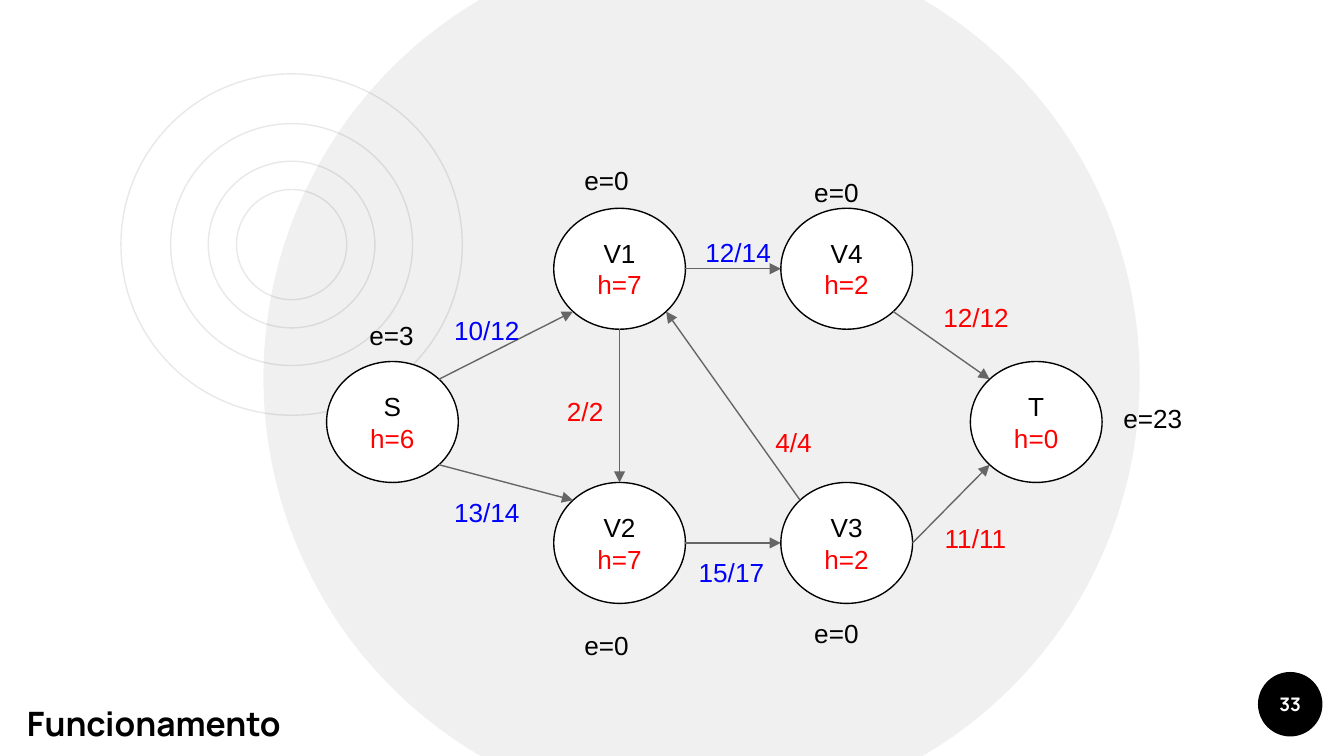
import math
from typing import NamedTuple

import pptx
import pptx.dml.color
import pptx.enum.shapes
import pptx.enum.text
import pptx.oxml
import pptx.oxml.ns
import pptx.util
from pptx.util import Inches

BLACK, WHITE, GRAY, RING = "000000", "FFFFFF", "666666", "E8E8E8"
RED, BLUE = "FF0000", "0000FF"
NODE_WIDTH, NODE_HEIGHT = 0.98, 0.9
MIDDLE = pptx.enum.text.MSO_ANCHOR.MIDDLE
CENTER = pptx.enum.text.PP_ALIGN.CENTER
LEFT = pptx.enum.text.PP_ALIGN.LEFT

# Angles, in degrees clockwise from the right, where edges meet a node
PORTS = {"right": 0, "bottom right": 45, "bottom": 90, "bottom left": 135,
         "left": 180, "top left": 225, "top": 270, "top right": 315}


class Node(NamedTuple):
    name: str
    height: int
    x: float
    y: float


class Edge(NamedTuple):
    start: str
    start_port: str
    end: str
    end_port: str


class Label(NamedTuple):
    text: str
    x: float
    y: float
    color: str = BLACK


NODES = {node.name: node for node in (
    Node("S", 6, 2.92, 3.14),
    Node("V3", 2, 6.3, 4.04), Node("V4", 2, 6.3, 2),
    Node("V2", 7, 4.61, 4.04), Node("V1", 7, 4.61, 2),
    Node("T", 0, 7.71, 3.14),
)}
EDGES = (
    Edge("S", "top right", "V1", "bottom left"),
    Edge("S", "bottom right", "V2", "top left"),
    Edge("V2", "right", "V3", "left"),
    Edge("V3", "top left", "V1", "bottom right"),
    Edge("V1", "right", "V4", "left"),
    Edge("V4", "bottom right", "T", "top left"),
    Edge("V3", "right", "T", "bottom left"),
    Edge("V1", "bottom", "V2", "top"),
)
LABELS = (
    Label("10/12", 3.28, 2.24, BLUE), Label("13/14", 3.28, 3.59, BLUE),
    Label("15/17", 5.1, 4.04, BLUE), Label("2/2", 4.12, 2.84, RED),
    Label("4/4", 5.67, 3.07, RED), Label("11/11", 6.93, 3.79, RED),
    Label("12/12", 6.92, 2.14, RED), Label("e=3", 2.65, 2.28),
    Label("e=0", 4.25, 1.12), Label("e=0", 4.25, 4.58),
    Label("e=0", 5.96, 4.49), Label("e=0", 5.96, 1.21),
    Label("e=23", 8.26, 2.89), Label("12/14", 5.15, 1.66, BLUE),
)


def rgb(color: str) -> pptx.dml.color.RGBColor:
    return pptx.dml.color.RGBColor.from_string(color)


def set_frame(frame, margin: float, anchor) -> None:
    values = {f"margin_{side}": Inches(margin)
              for side in ("left", "top", "right", "bottom")}
    values.update(word_wrap=True, vertical_anchor=anchor)
    for name, value in values.items():
        setattr(frame, name, value)


def write(paragraph, text: str, color: str, size: float = 14,
          font: str = "Arial", bold: bool = False, align=CENTER) -> None:
    paragraph.alignment = align
    run = paragraph.add_run()
    run.text = text
    values = {"size": pptx.util.Pt(size), "name": font, "bold": bold}
    for name, value in values.items():
        setattr(run.font, name, value)
    run.font.color.rgb = rgb(color)


def add_ellipse(slide, x: float, y: float, width: float, height: float,
                fill: str = "", line: str = ""):
    """Draw an ellipse centred on x, y."""
    shape = slide.shapes.add_shape(
        pptx.enum.shapes.MSO_SHAPE.OVAL, Inches(x - width / 2),
        Inches(y - height / 2), Inches(width), Inches(height))
    shape.shadow.inherit = False
    if fill:
        shape.fill.solid()
        shape.fill.fore_color.rgb = rgb(fill)
    else:
        shape.fill.background()
    if line:
        shape.line.color.rgb = rgb(line)
        shape.line.width = pptx.util.Pt(0.75)
    else:
        shape.line.fill.background()
    return shape


def add_background(slide) -> None:
    for diameter in (2.54, 1.24, 1.8, 0.82):
        add_ellipse(slide, 2.17, 1.82, diameter, diameter, line=RING)
    disc = add_ellipse(slide, 5.22, 2.81, 6.52, 6.52, fill=BLACK)
    color = disc.fill._xPr.find(".//" + pptx.oxml.ns.qn("a:srgbClr"))
    color.append(pptx.oxml.parse_xml(
        f'<a:alpha {pptx.oxml.ns.nsdecls("a")} val="6000"/>'))


def add_page_number(slide, number: str) -> None:
    badge = add_ellipse(slide, 9.6, 5.24, 0.48, 0.48, fill=BLACK)
    set_frame(badge.text_frame, 0, MIDDLE)
    write(badge.text_frame.paragraphs[0], number, WHITE, 10, "Manrope", True)


def add_node(slide, node: Node) -> None:
    shape = add_ellipse(slide, node.x, node.y, NODE_WIDTH, NODE_HEIGHT, WHITE, BLACK)
    frame = shape.text_frame
    set_frame(frame, 0.1, MIDDLE)
    write(frame.paragraphs[0], node.name, BLACK)
    write(frame.add_paragraph(), f"h={node.height}", RED)


def port_position(name: str, port: str) -> tuple:
    node, angle = NODES[name], math.radians(PORTS[port])
    return (Inches(node.x + NODE_WIDTH / 2 * math.cos(angle)),
            Inches(node.y + NODE_HEIGHT / 2 * math.sin(angle)))


def add_edge(slide, edge: Edge) -> None:
    connector = slide.shapes.add_connector(
        pptx.enum.shapes.MSO_CONNECTOR.STRAIGHT,
        *port_position(edge.start, edge.start_port),
        *port_position(edge.end, edge.end_port))
    connector.line.color.rgb = rgb(GRAY)
    connector.line.width = pptx.util.Pt(0.75)
    namespace = pptx.oxml.ns.nsdecls("a")
    connector.line._get_or_add_ln().append(
        pptx.oxml.parse_xml(f'<a:tailEnd {namespace} type="triangle"/>'))
    connector._element.spPr.append(
        pptx.oxml.parse_xml(f"<a:effectLst {namespace}/>"))


def add_label(slide, label: Label) -> None:
    box = slide.shapes.add_textbox(
        Inches(label.x), Inches(label.y), Inches(0.78), Inches(0.35))
    set_frame(box.text_frame, 0.1, pptx.enum.text.MSO_ANCHOR.TOP)
    write(box.text_frame.paragraphs[0], label.text, label.color, align=LEFT)


def set_title(slide, text: str) -> None:
    title = slide.shapes.title
    position = {"left": 0, "top": 5.13, "width": 2.29, "height": 0.5}
    for name, value in position.items():
        setattr(title, name, Inches(value))
    set_frame(title.text_frame, 0.1, pptx.enum.text.MSO_ANCHOR.BOTTOM)
    write(title.text_frame.paragraphs[0], text, BLACK, 18, "Manrope", True)


def main() -> None:
    presentation = pptx.Presentation()
    presentation.slide_width = Inches(10)
    presentation.slide_height = Inches(10 * 9 / 16)
    slide = presentation.slides.add_slide(presentation.slide_layouts[5])
    add_background(slide)
    add_page_number(slide, "33")
    for node in NODES.values():
        add_node(slide, node)
    for edge in EDGES:
        add_edge(slide, edge)
    for label in LABELS:
        add_label(slide, label)
    set_title(slide, "Funcionamento")
    presentation.save("out.pptx")


if __name__ == "__main__":
    main()
